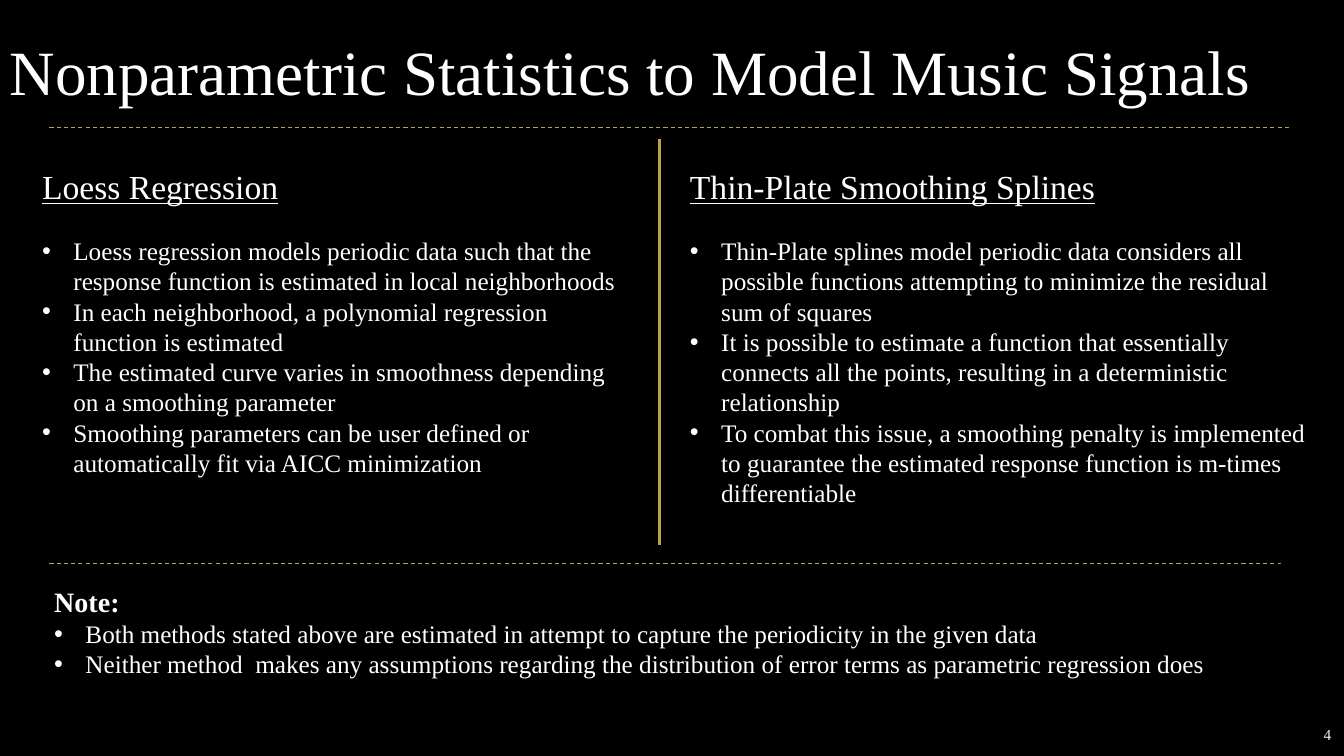
from lxml.etree import SubElement
from pptx import Presentation
from pptx.dml.color import RGBColor
from pptx.enum.dml import MSO_LINE
from pptx.enum.shapes import MSO_CONNECTOR
from pptx.enum.text import MSO_ANCHOR, PP_ALIGN
from pptx.oxml.ns import qn
from pptx.util import Inches, Pt

FONT = "Times New Roman"
BLACK, WHITE, PALE, GOLD = "000000", "FFFFFF", "F2F2F2", "BBA149"
BULLET_INDENT = Inches(0.31)

TITLE = {"size": Pt(45)}
HEADING = {"size": Pt(24), "underline": True}
NOTE = {"size": Pt(20), "bold": True}
BODY = {"size": Pt(18)}
NUMBER = {"size": Pt(11)}
BLANK_LINE = Pt(20.7)

# Places are percentages of the slide: left, top, width, height
TITLE_TEXT = "Nonparametric Statistics to Model Music Signals"
TITLE_PLACE = (0, 3.6, 100, 11.5)
SLIDE_NUMBER = "4"
NUMBER_PLACE = (93.6, 94.53, 6.2, 5.3)

SECTIONS = [
    ("Loess Regression", HEADING, BLANK_LINE, (2.4, 21.33, 45.1, 47.1), [
        "Loess regression models periodic data such that the response function "
        "is estimated in local neighborhoods",
        "In each neighborhood, a polynomial regression function is estimated",
        "The estimated curve varies in smoothness depending on a smoothing parameter",
        "Smoothing parameters can be user defined or automatically fit via AICC minimization",
    ]),
    ("Thin-Plate Smoothing Splines", HEADING, BLANK_LINE, (50.6, 21.33, 47.4, 47.1), [
        "Thin-Plate splines model periodic data considers all possible functions "
        "attempting to minimize the residual sum of squares",
        "It is possible to estimate a function that essentially connects all the points, "
        "resulting in a deterministic relationship",
        "To combat this issue, a smoothing penalty is implemented to guarantee "
        "the estimated response function is m-times differentiable",
    ]),
    ("Note:", NOTE, Pt(0), (3.3, 76.7, 93.2, 18), [
        "Both methods stated above are estimated in attempt to capture the periodicity "
        "in the given data",
        "Neither method  makes any assumptions regarding the distribution of error terms "
        "as parametric regression does",
    ]),
]

# Start x, start y, end x, end y; then the line format
RULES = [
    ((49.06, 18.4, 49.06, 72.13), {"width": Pt(2)}),
    ((3.68, 16.93, 96, 16.93), {"width": Pt(0.75), "dash_style": MSO_LINE.DASH}),
    ((3.68, 74.53, 95.3, 74.53), {"width": Pt(0.75), "dash_style": MSO_LINE.DASH}),
]

presentation = Presentation()
presentation.slide_width, presentation.slide_height = Inches(13.33), Inches(7.5)
slide = presentation.slides.add_slide(presentation.slide_layouts[6])


def color(hex_code):
    return RGBColor.from_string(hex_code)


def to_lengths(percentages):
    """Turn alternating x and y percentages into slide lengths."""
    sides = (presentation.slide_width, presentation.slide_height) * 2
    return [round(side * share / 100) for side, share in zip(sides, percentages)]


def add_text_frame(place):
    frame = slide.shapes.add_textbox(*to_lengths(place)).text_frame
    frame.word_wrap = True
    return frame


def write(paragraph, text, style, hex_code=WHITE):
    run = paragraph.add_run()
    run.text = text
    run.font.name = FONT
    run.font.color.rgb = color(hex_code)
    for name, value in style.items():
        setattr(run.font, name, value)


def add_bullet(paragraph):
    properties = paragraph._p.get_or_add_pPr()
    properties.set("marL", str(BULLET_INDENT))
    properties.set("indent", str(-BULLET_INDENT))
    SubElement(properties, qn("a:buFont"), typeface="Arial")
    SubElement(properties, qn("a:buChar"), char="•")


def add_section(heading, style, gap, place, points):
    frame = add_text_frame(place)
    write(frame.paragraphs[0], heading, style)
    frame.paragraphs[0].space_after = gap
    for point in points:
        paragraph = frame.add_paragraph()
        add_bullet(paragraph)
        write(paragraph, point, BODY)


def add_rule(ends, line_format):
    connector = slide.shapes.add_connector(MSO_CONNECTOR.STRAIGHT, *to_lengths(ends))
    connector.line.color.rgb = color(GOLD)
    for name, value in line_format.items():
        setattr(connector.line, name, value)
    SubElement(connector._element.spPr, qn("a:effectLst"))


slide.background.fill.solid()
slide.background.fill.fore_color.rgb = color(BLACK)

write(add_text_frame(TITLE_PLACE).paragraphs[0], TITLE_TEXT, TITLE)
for section in SECTIONS:
    add_section(*section)
for rule in RULES:
    add_rule(*rule)

number_frame = add_text_frame(NUMBER_PLACE)
number_frame.vertical_anchor = MSO_ANCHOR.MIDDLE
number_frame.paragraphs[0].alignment = PP_ALIGN.RIGHT
write(number_frame.paragraphs[0], SLIDE_NUMBER, NUMBER, PALE)

presentation.save("out.pptx")
